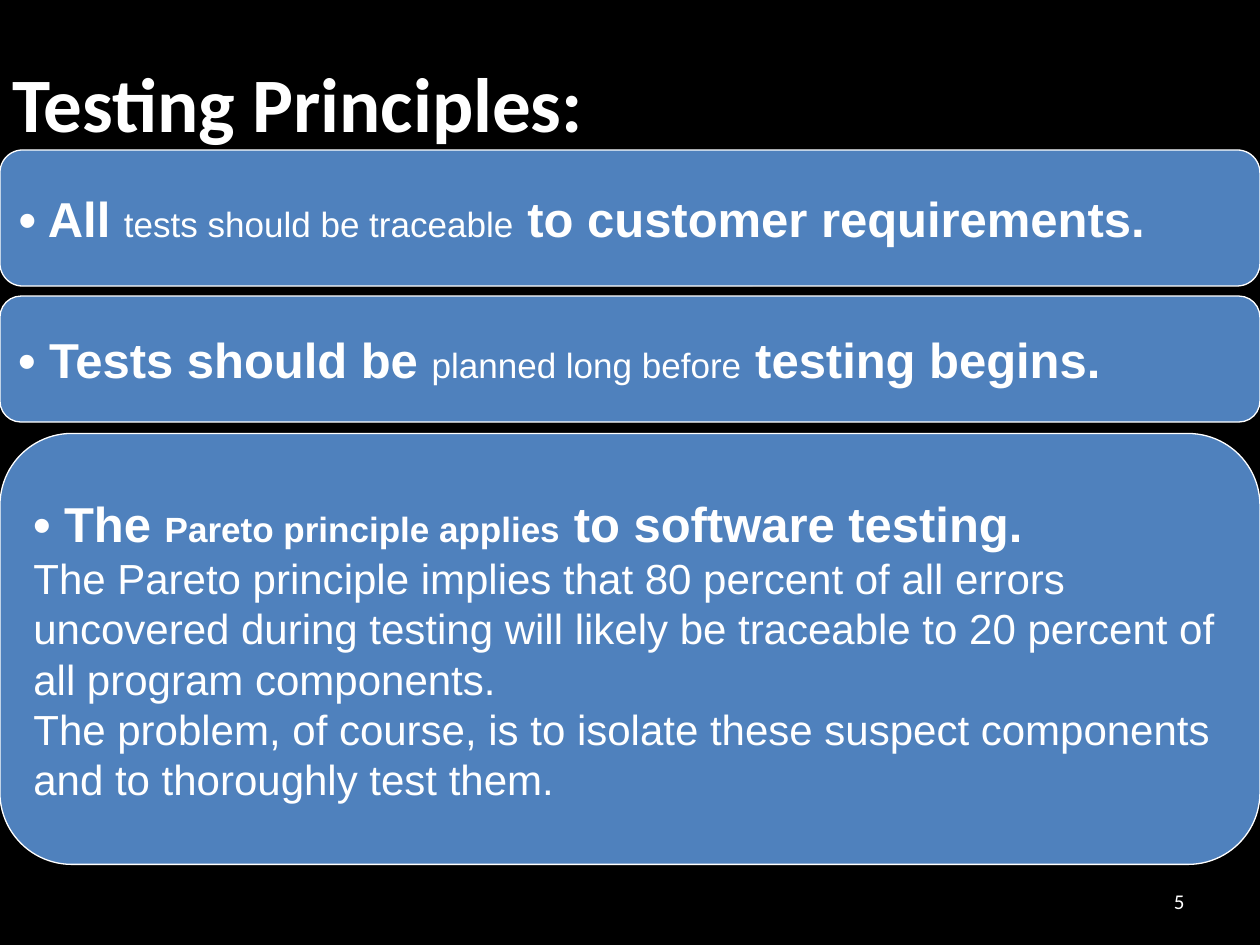
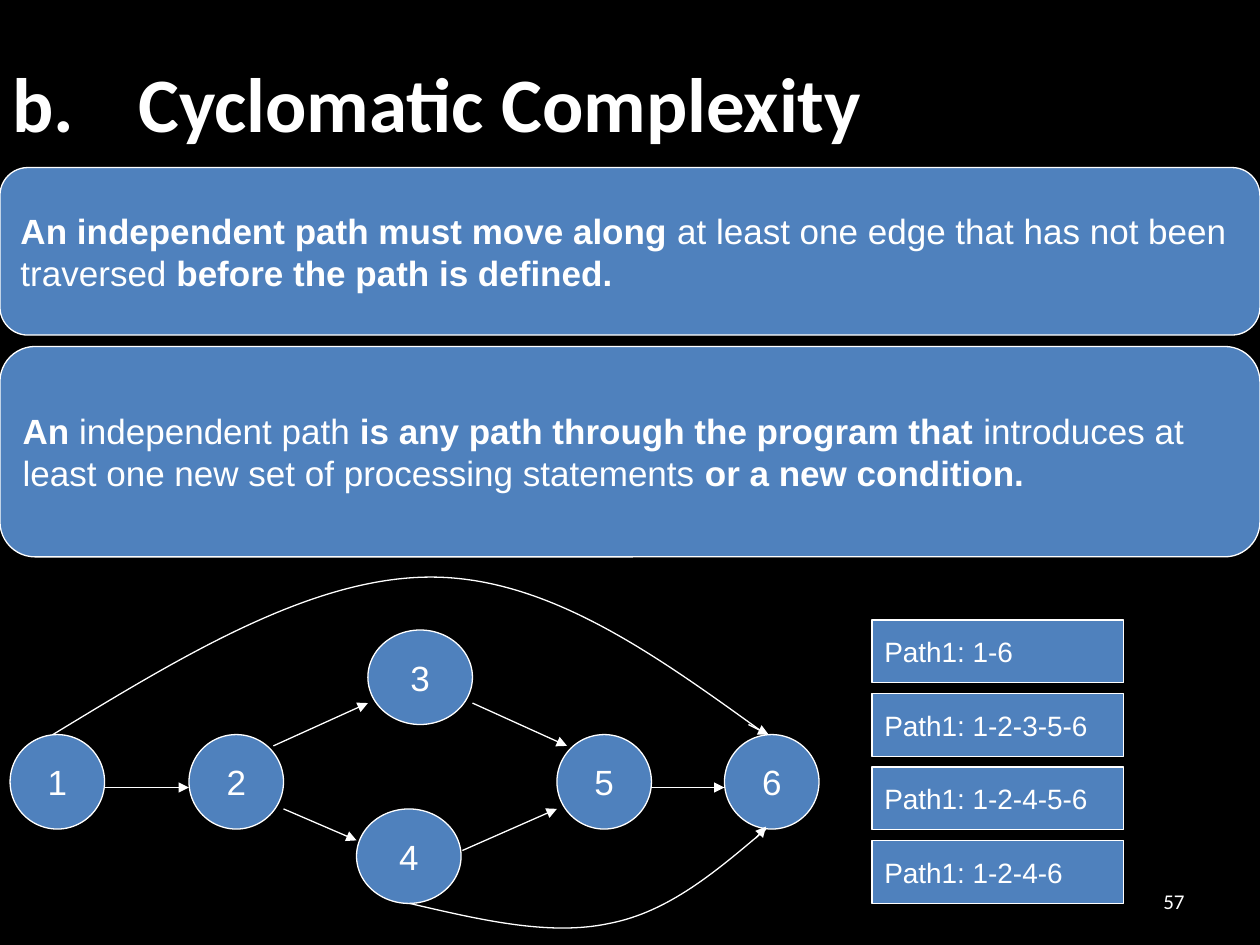
from pptx import Presentation
from pptx.dml.color import RGBColor
from pptx.enum.shapes import MSO_CONNECTOR, MSO_SHAPE
from pptx.enum.text import MSO_ANCHOR, PP_ALIGN
from pptx.oxml.ns import qn
from pptx.util import Inches, Pt
from lxml.etree import SubElement

BLACK = RGBColor(0x00, 0x00, 0x00)
WHITE = RGBColor(0xFF, 0xFF, 0xFF)
BLUE = RGBColor(0x4F, 0x81, 0xBD)
LINE_WIDTH = Pt(0.75)


def write_text(shape, paragraphs, font_name="Arial", align=PP_ALIGN.LEFT):
    """Fill a shape with paragraphs, each a list of (text, size, bold) runs."""
    frame = shape.text_frame
    frame.word_wrap = True
    frame.vertical_anchor = MSO_ANCHOR.MIDDLE
    for index, runs in enumerate(paragraphs):
        paragraph = frame.add_paragraph() if index else frame.paragraphs[0]
        paragraph.alignment = align
        if "\t" in runs[0][0]:
            tab_list = SubElement(paragraph._p.get_or_add_pPr(), qn("a:tabLst"))
            SubElement(tab_list, qn("a:tab"), pos=str(Inches(1)), algn="l")
        paragraph.font.name = font_name
        paragraph.font.color.rgb = WHITE
        if len(runs) == 1:
            paragraph.font.size = Pt(runs[0][1])
            paragraph.font.bold = runs[0][2]
        for text, size, bold in runs:
            run = paragraph.add_run()
            run.text = text
            if len(runs) > 1:
                run.font.size = Pt(size)
                run.font.bold = bold


def add_box(slide, preset, left, top, width, height, paragraphs, align=PP_ALIGN.LEFT):
    """Add a blue shape with a thin white outline and white text."""
    shape = slide.shapes.add_shape(
        preset, Inches(left), Inches(top), Inches(width), Inches(height))
    shape.shadow.inherit = False
    shape.fill.solid()
    shape.fill.fore_color.rgb = BLUE
    shape.line.color.rgb = WHITE
    shape.line.width = LINE_WIDTH
    write_text(shape, paragraphs, align=align)


presentation = Presentation()
presentation.slide_width = Inches(10)
presentation.slide_height = Inches(7.5)

# Title, slide number and full-width panels (top, height, paragraphs) per slide
slide_contents = [
    ("Testing Principles:", "5", [
        (1.19, 1.08, [[("• All ", 28, True),
                       ("tests should be traceable", 20, False),
                       (" to customer requirements.", 28, True)]]),
        (2.35, 1, [[("• Tests should be ", 28, True),
                    ("planned long before", 20, False),
                    (" testing begins.", 28, True)]]),
        (3.44, 3.42, [
            [("• The ", 28, True),
             ("Pareto principle applies", 20, True),
             (" to software testing.", 28, True)],
            [("The Pareto principle implies that 80 percent of all errors "
              "uncovered during testing will likely be traceable to 20 percent "
              "of all program components.", 24, False)],
            [("The problem, of course, is to isolate these suspect components "
              "and to thoroughly test them.", 24, False)]]),
    ]),
    ("b.\tCyclomatic Complexity", "57", [
        (1.33, 1.33, [[("An independent path must move along ", 20, True),
                       ("at least one edge that has not been traversed", 20, False),
                       (" before the path is defined.", 20, True)]]),
        (2.75, 1.67, [[("An ", 20, True),
                       ("independent path", 20, False),
                       (" is any path through the program that ", 20, True),
                       ("introduces at least one new set of processing statements",
                        20, False),
                       (" or a new condition.", 20, True)]]),
    ]),
]

for title, number, panels in slide_contents:
    slide = presentation.slides.add_slide(presentation.slide_layouts[6])
    slide.background.fill.solid()
    slide.background.fill.fore_color.rgb = BLACK
    title_box = slide.shapes.add_textbox(0, 0, Inches(8.5), Inches(1.61))
    write_text(title_box, [[(title, 44, True)]], "Calibri")
    number_box = slide.shapes.add_textbox(
        Inches(7.17), Inches(6.95), Inches(2.33), Inches(0.4))
    write_text(number_box, [[(number, 12, False)]], "Calibri", PP_ALIGN.RIGHT)
    for top, height, paragraphs in panels:
        add_box(slide, MSO_SHAPE.ROUNDED_RECTANGLE, 0, top, 10, height, paragraphs)

# Flow graph nodes on the last slide: label, left, top, width
nodes = [("1", 0.08, 5.83, 0.75), ("2", 1.5, 5.83, 0.75), ("3", 2.92, 5, 0.83),
         ("4", 2.83, 6.42, 0.83), ("5", 4.42, 5.83, 0.75), ("6", 5.75, 5.83, 0.75)]
for label, left, top, width in nodes:
    add_box(slide, MSO_SHAPE.OVAL, left, top, width, 0.75,
            [[(label, 20, False)]], PP_ALIGN.CENTER)

# Curved edges 1-6 and 4-6: a start, then three Bézier points per segment
curved_edges = [
    [(0.42, 5.83), (1.44, 5.21), (2.47, 4.58), (3.42, 4.58),
     (4.36, 4.58), (5.22, 5.21), (6.08, 5.83)],
    [(3.25, 7.17), (3.81, 7.3), (4.36, 7.43), (4.83, 7.33),
     (5.31, 7.24), (5.69, 6.91), (6.08, 6.58)],
]
for points in curved_edges:
    start, *others = [(Inches(x), Inches(y)) for x, y in points]
    builder = slide.shapes.build_freeform(*start)
    builder.add_line_segments(others, close=False)
    curve = builder.convert_to_shape()
    curve.shadow.inherit = False
    curve.fill.background()
    curve.line.color.rgb = WHITE
    curve.line.width = LINE_WIDTH
    # Merge each three straight segments into one cubic segment
    outline = next(curve._element.iter(qn("a:path")))
    straight_segments = outline.findall(qn("a:lnTo"))
    for index, segment in enumerate(straight_segments):
        if index % 3 == 0:
            cubic = SubElement(outline, qn("a:cubicBezTo"))
        cubic.append(segment[0])
        outline.remove(segment)

# Straight edges, then the arrow tips of the two curves
arrows = [
    (0.83, 6.25, 1.5, 6.25), (2.17, 5.92, 2.92, 5.58), (2.25, 6.42, 2.83, 6.67),
    (3.75, 5.58, 4.5, 5.92), (3.67, 6.75, 4.42, 6.42), (5.17, 6.25, 5.75, 6.25),
    (5.94, 5.75, 6.1, 5.83), (6, 6.65, 6.08, 6.56),
]
for ends in arrows:
    arrow = slide.shapes.add_connector(MSO_CONNECTOR.STRAIGHT, *map(Inches, ends))
    arrow.line.color.rgb = WHITE
    arrow.line.width = LINE_WIDTH
    SubElement(arrow.line._get_or_add_ln(), qn("a:tailEnd"), type="triangle")
    SubElement(arrow._element.spPr, qn("a:effectLst"))

# Independent paths, evenly stacked
for row, nodes_visited in enumerate(["1-6", "1-2-3-5-6", "1-2-4-5-6", "1-2-4-6"]):
    add_box(slide, MSO_SHAPE.RECTANGLE, 6.92, 4.92 + row * 7 / 12, 2, 0.5,
            [[("Path1: " + nodes_visited, 16, False)]])

presentation.save("out.pptx")
